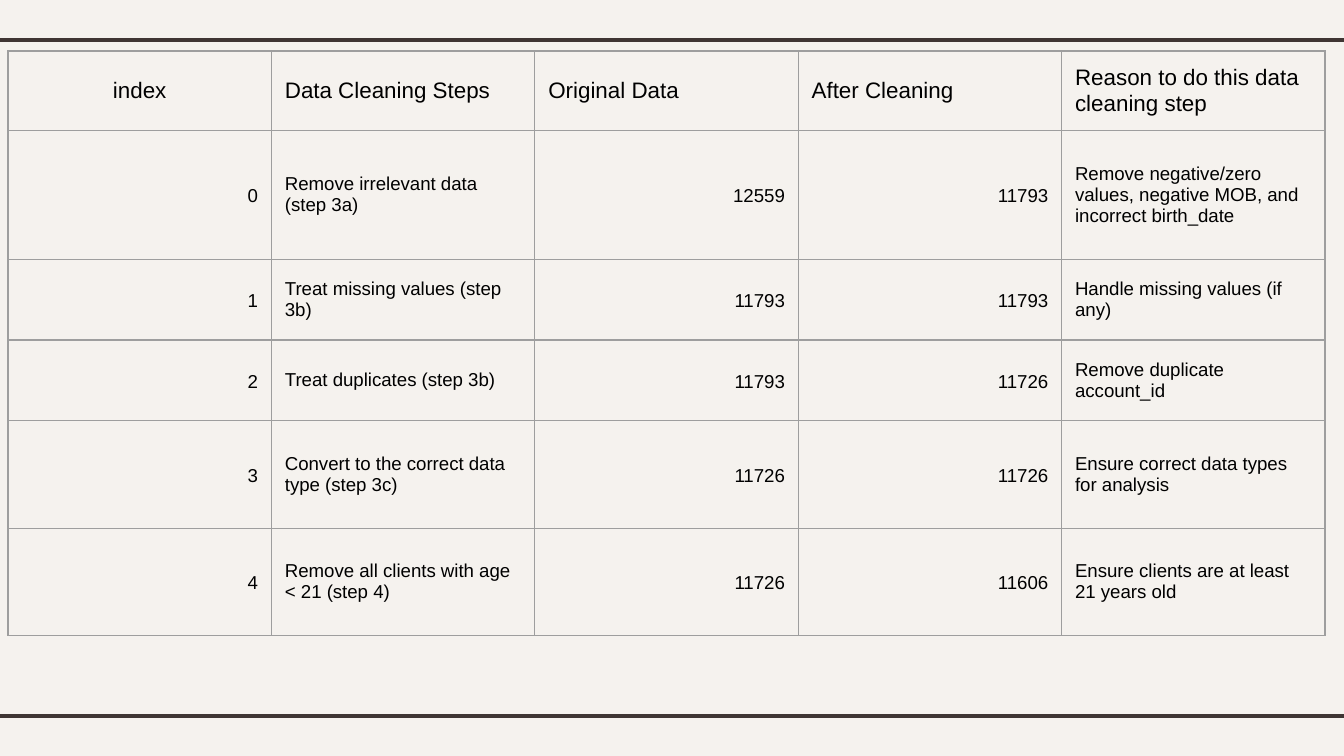
from lxml.etree import SubElement
from pptx import Presentation
from pptx.dml.color import RGBColor
from pptx.enum.shapes import MSO_CONNECTOR
from pptx.enum.text import MSO_ANCHOR, PP_ALIGN
from pptx.oxml import parse_xml
from pptx.oxml.ns import nsdecls, qn
from pptx.util import Inches, Pt

SLIDE_WIDTH = 10
SLIDE_HEIGHT = SLIDE_WIDTH * 9 / 16
RULE_OVERHANG = 0.08
RULE_HEIGHTS = (5.33, 0.3)
TABLE_LEFT, TABLE_TOP = 0.06, 0.38
COLUMN_WIDTH = 1.96
ROW_HEIGHTS = (0.59, 0.96, 0.6, 0.6, 0.8, 0.8)
CELL_MARGIN = 0.1
COLORS = {
    "background": "F5F2EE",
    "rule": "3F3533",
    "border": "9E9E9E",
    "text": "000000",
}
HEADINGS = ("index", "Data Cleaning Steps", "Original Data", "After Cleaning",
            "Reason to do this data cleaning step")
CLEANING_STEPS = (
    (0, "Remove irrelevant data (step 3a)", 12559, 11793,
     "Remove negative/zero values, negative MOB, and incorrect birth_date"),
    (1, "Treat missing values (step 3b)", 11793, 11793,
     "Handle missing values (if any)"),
    (2, "Treat duplicates (step 3b)", 11793, 11726,
     "Remove duplicate account_id"),
    (3, "Convert to the correct data type (step 3c)", 11726, 11726,
     "Ensure correct data types for analysis"),
    (4, "Remove all clients with age < 21 (step 4)", 11726, 11606,
     "Ensure clients are at least 21 years old"),
)


def color(name):
    return RGBColor.from_string(COLORS[name])


def add_rule(slide, height):
    rule = slide.shapes.add_connector(
        MSO_CONNECTOR.STRAIGHT, Inches(-RULE_OVERHANG), Inches(height),
        Inches(SLIDE_WIDTH + RULE_OVERHANG), Inches(height))
    rule.line.color.rgb = color("rule")
    rule.line.width = Pt(2.25)
    SubElement(rule._element.spPr, qn("a:effectLst"))


def write_text(cell, text, size=10, align=PP_ALIGN.LEFT, spacing=None):
    cell.text = text
    paragraph = cell.text_frame.paragraphs[0]
    paragraph.alignment = align
    paragraph.line_spacing = spacing
    font = paragraph.runs[0].font
    font.name = "Arial"
    font.size = Pt(size)
    font.color.rgb = color("text")


def format_cell(cell):
    """Clear the fill, set the margins and draw all four borders."""
    cell.fill.background()
    cell.vertical_anchor = MSO_ANCHOR.MIDDLE
    cell.margin_left = cell.margin_right = Inches(CELL_MARGIN)
    cell.margin_top = cell.margin_bottom = Inches(CELL_MARGIN)
    properties = cell._tc.get_or_add_tcPr()
    for position, side in enumerate(("lnL", "lnR", "lnT", "lnB")):
        properties.insert(position, parse_xml(
            f'<a:{side} {nsdecls("a")} w="{Pt(0.75)}"><a:solidFill>'
            f'<a:srgbClr val="{COLORS["border"]}"/></a:solidFill></a:{side}>'))


def add_cleaning_table(slide):
    rows = (HEADINGS, *CLEANING_STEPS)
    table = slide.shapes.add_table(
        len(rows), len(HEADINGS), Inches(TABLE_LEFT), Inches(TABLE_TOP),
        Inches(COLUMN_WIDTH * len(HEADINGS)), Inches(sum(ROW_HEIGHTS))).table
    table.first_row = table.horz_banding = False
    for column in table.columns:
        column.width = Inches(COLUMN_WIDTH)
    for row, height in zip(table.rows, ROW_HEIGHTS):
        row.height = Inches(height)

    for row_index, values in enumerate(rows):
        for column_index, value in enumerate(values):
            cell = table.cell(row_index, column_index)
            format_cell(cell)
            if row_index == 0:
                align = PP_ALIGN.LEFT if column_index else PP_ALIGN.CENTER
                write_text(cell, value, size=12, align=align)
            elif isinstance(value, int):
                write_text(cell, str(value), align=PP_ALIGN.RIGHT, spacing=1.15)
            else:
                write_text(cell, value)


def main():
    presentation = Presentation()
    presentation.slide_width = Inches(SLIDE_WIDTH)
    presentation.slide_height = Inches(SLIDE_HEIGHT)
    slide = presentation.slides.add_slide(presentation.slide_layouts[6])
    slide.background.fill.solid()
    slide.background.fill.fore_color.rgb = color("background")
    for height in RULE_HEIGHTS:
        add_rule(slide, height)
    add_cleaning_table(slide)
    presentation.save("out.pptx")


if __name__ == "__main__":
    main()
